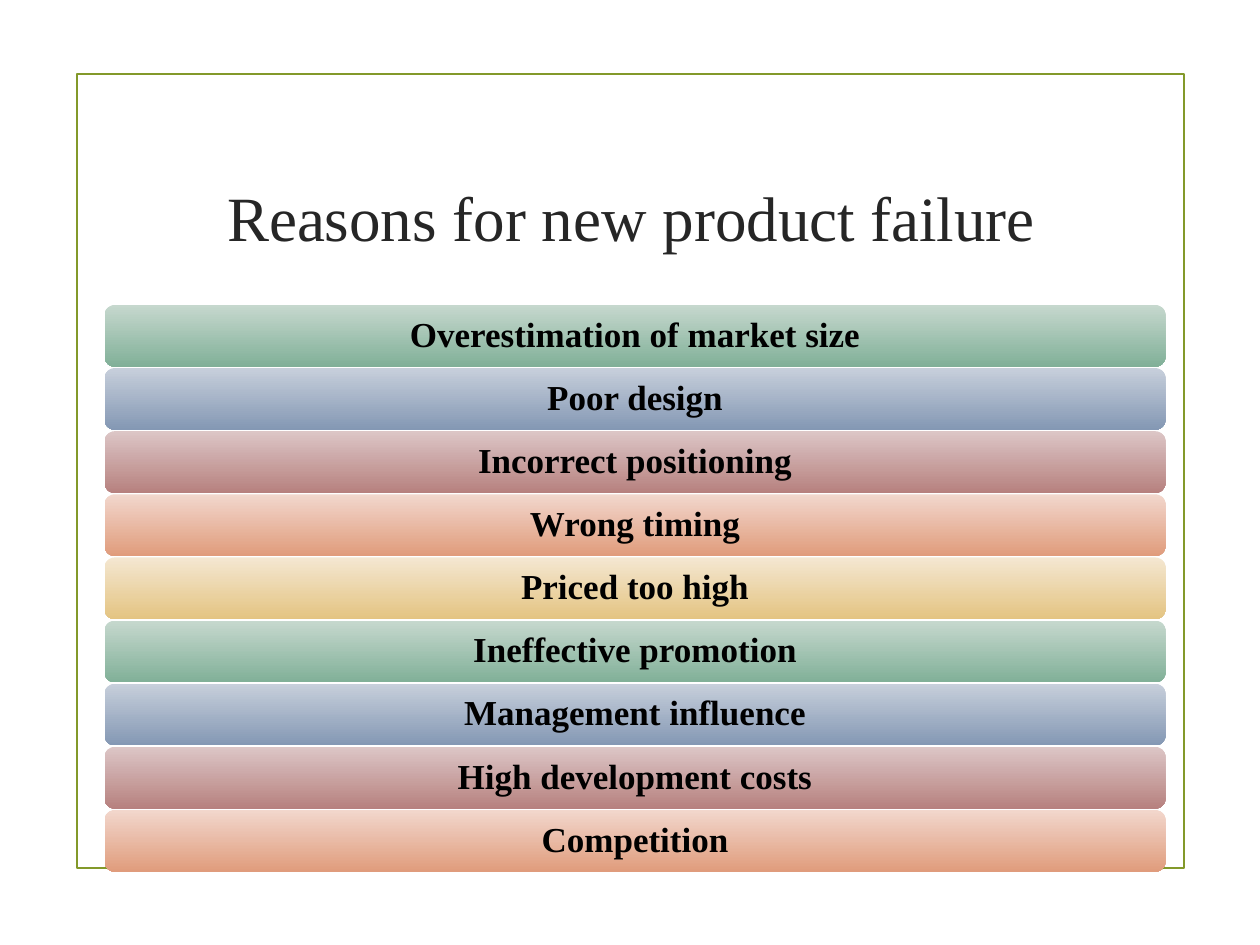
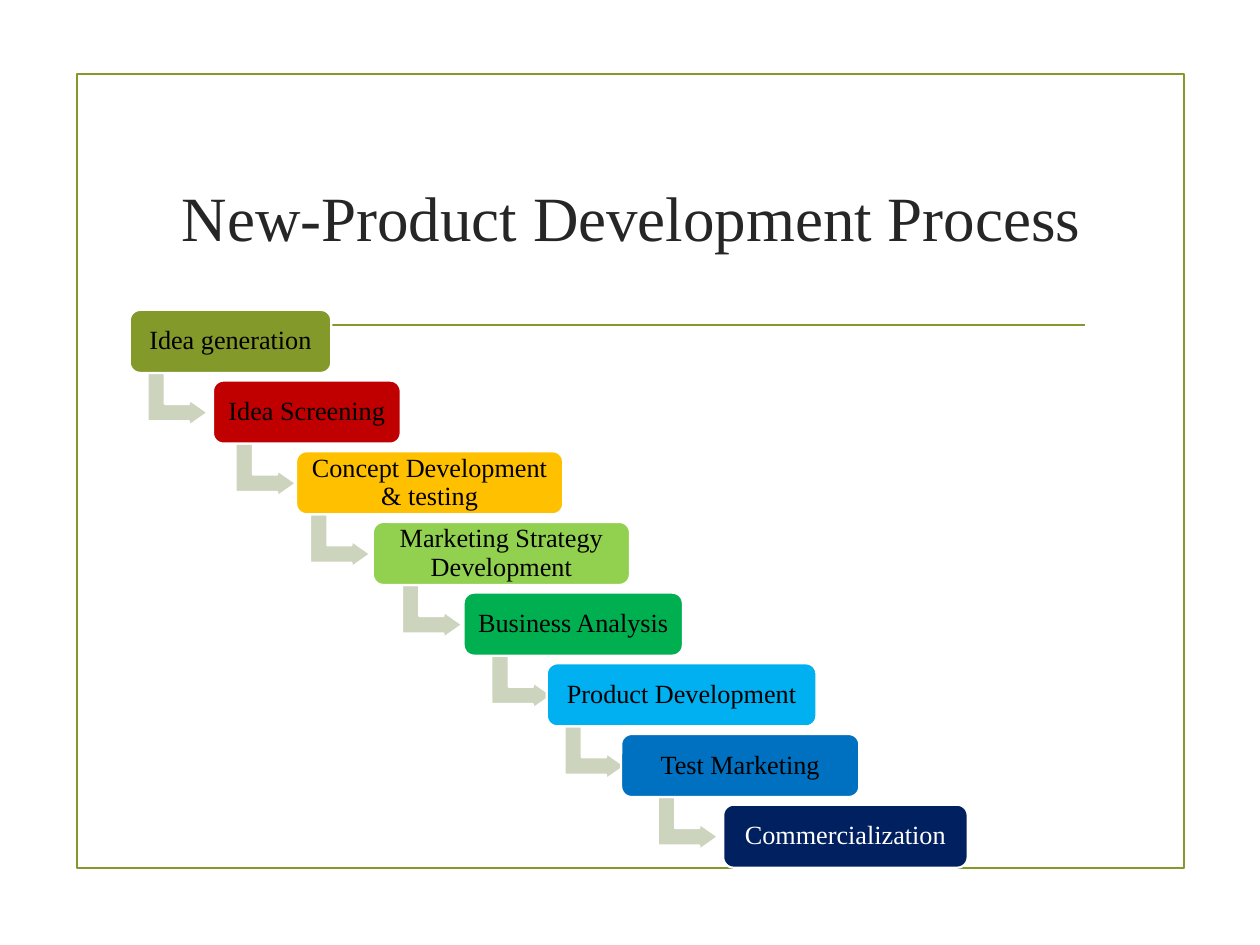
"""Build two slides on new products: reasons for failure and the development process."""
import pptx
import pptx.util
import pptx.dml.color
import pptx.enum.shapes
import pptx.enum.text
import pptx.oxml.ns
import lxml.etree

SHAPES = pptx.enum.shapes.MSO_SHAPE
FONT = "Times New Roman"
OLIVE, TITLE_INK, BLACK, WHITE, ARROW = "83992A", "262626", "000000", "FFFFFF", "CDD4BE"

REASONS_TITLE = "Reasons for new product failure"
REASONS = [
    "Overestimation of market size", "Poor design", "Incorrect positioning",
    "Wrong timing", "Priced too high", "Ineffective promotion",
    "Management influence", "High development costs", "Competition",
]
BAR_GRADIENTS = [
    ("C6D8CE", "81B098"), ("C7CFDB", "8498B4"), ("DCC6C6", "B7817F"),
    ("F2D7CD", "E09C7C"), ("F4E7D1", "E4C482"),
]
BAR_LEFT, BAR_TOP, BAR_W, BAR_H, BAR_PITCH = 0.83, 2.42, 8.42, 0.49, 0.501

PROCESS_TITLE = "New-Product Development Process"
# label, left, width, fill, text colour, left of the arrow to the next step
STEPS = [
    ("Idea generation", 1.03, 1.60, OLIVE, BLACK, 1.20),
    ("Idea Screening", 1.69, 1.49, "C00000", BLACK, 1.90),
    ("Concept Development & testing", 2.35, 2.12, "FFC000", BLACK, 2.49),
    ("Marketing Strategy Development", 2.96, 2.04, "92D050", BLACK, 3.22),
    ("Business Analysis", 3.68, 1.74, "00B050", BLACK, 3.93),
    ("Product Development", 4.34, 2.14, "00B0F0", BLACK, 4.51),
    ("Test Marketing", 4.93, 1.89, "0070C0", BLACK, 5.25),
    ("Commercialization", 5.74, 1.94, "002060", WHITE, None),
]
STEP_TOP, STEP_H, STEP_PITCH = 2.46, 0.5, 0.561
ARROW_DROP, ARROW_W, ARROW_H = 0.47, 0.42, 0.48
ARROW_ADJUSTMENTS = (0.328, 0.25, 0.358)


def rgb(color):
    return pptx.dml.color.RGBColor.from_string(color)


def inches(*values):
    return [pptx.util.Inches(v) for v in values]


def write(sp, text, size, color, bold=False, margin=0.1, spacing=None):
    tf = sp.text_frame
    tf.word_wrap = True
    tf.vertical_anchor = pptx.enum.text.MSO_ANCHOR.MIDDLE
    tf.margin_left = tf.margin_right = pptx.util.Inches(margin)
    tf.margin_top = tf.margin_bottom = pptx.util.Inches(margin)
    tf.text = text
    p = tf.paragraphs[0]
    p.alignment = pptx.enum.text.PP_ALIGN.CENTER
    p.line_spacing = spacing
    font = p.runs[0].font
    font.name, font.size, font.bold = FONT, pptx.util.Pt(size), bold
    font.color.rgb = rgb(color)


def outline(sp, color):
    sp.line.color.rgb = rgb(color)
    sp.line.width = pptx.util.Pt(1.25)


def add_shape(slide, kind, box, fill=None, line=None):
    sp = slide.shapes.add_shape(kind, *inches(*box))
    sp.shadow.inherit = False
    if fill is None:
        sp.fill.background()
    elif isinstance(fill, tuple):
        sp.fill.gradient()
        sp.fill.gradient_angle = 270
        for stop, color in zip(sp.fill.gradient_stops, fill):
            stop.color.rgb = rgb(color)
    else:
        sp.fill.solid()
        sp.fill.fore_color.rgb = rgb(fill)
    if line:
        outline(sp, line)
    else:
        sp.line.fill.background()
    return sp


def add_base(prs, title):
    slide = prs.slides.add_slide(prs.slide_layouts[6])
    add_shape(slide, SHAPES.RECTANGLE, (0.61, 0.59, 8.79, 6.3), line=OLIVE)
    rule = slide.shapes.add_connector(
        pptx.enum.shapes.MSO_CONNECTOR.STRAIGHT, *inches(1.4, 2.58, 8.61, 2.58))
    outline(rule, OLIVE)
    lxml.etree.SubElement(rule._element.spPr, pptx.oxml.ns.qn("a:effectLst"))
    write(slide.shapes.add_textbox(*inches(1.29, 1, 7.44, 1.43)), title, 36, TITLE_INK)
    return slide


def build_reasons(prs):
    slide = add_base(prs, REASONS_TITLE)
    for i, reason in enumerate(REASONS):
        box = (BAR_LEFT, BAR_TOP + i * BAR_PITCH, BAR_W, BAR_H)
        gradient = BAR_GRADIENTS[i % len(BAR_GRADIENTS)]
        sp = add_shape(slide, SHAPES.ROUNDED_RECTANGLE, box, gradient)
        write(sp, reason, 20, BLACK, bold=True, margin=0.08, spacing=0.9)


def build_process(prs):
    slide = add_base(prs, PROCESS_TITLE)
    for i, (label, left, width, fill, ink, arrow_left) in enumerate(STEPS):
        top = STEP_TOP + i * STEP_PITCH
        if arrow_left is not None:
            box = (arrow_left, top + ARROW_DROP, ARROW_W, ARROW_H)
            arrow = add_shape(slide, SHAPES.BENT_UP_ARROW, box, ARROW, WHITE)
            arrow.rotation = 90
            for k, value in enumerate(ARROW_ADJUSTMENTS):
                arrow.adjustments[k] = value
        sp = add_shape(slide, SHAPES.ROUNDED_RECTANGLE, (left, top, width, STEP_H), fill, WHITE)
        write(sp, label, 15, ink, margin=0.06, spacing=0.9)


def main():
    prs = pptx.Presentation()
    prs.slide_width, prs.slide_height = inches(10, 7.5)
    build_reasons(prs)
    build_process(prs)
    prs.save("out.pptx")


if __name__ == "__main__":
    main()
